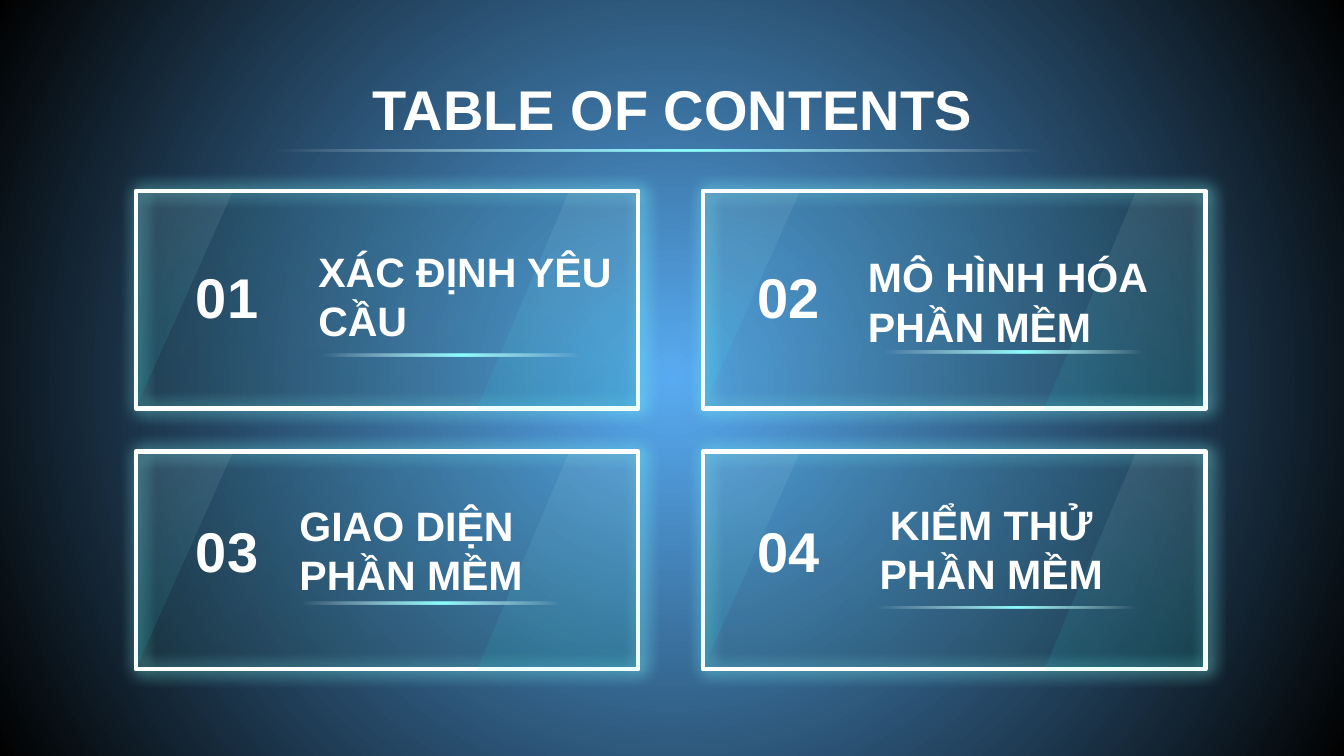
from lxml import etree
from pptx import Presentation
from pptx.dml.color import RGBColor
from pptx.enum.shapes import MSO_SHAPE
from pptx.enum.text import MSO_ANCHOR, PP_ALIGN
from pptx.oxml.ns import qn
from pptx.util import Inches, Pt

LEFT, CENTER = PP_ALIGN.LEFT, PP_ALIGN.CENTER
MIDDLE = MSO_ANCHOR.MIDDLE
RECT = MSO_SHAPE.RECTANGLE

TITLE = "TABLE OF CONTENTS"
# number, heading, heading left and top, alignment, rule left and top
ITEMS = [
    ("01", "XÁC ĐỊNH YÊU CẦU", (2.27, 1.91), LEFT, (2.21, 2.63)),
    ("02", "MÔ HÌNH HÓA PHẦN MỀM", (6.36, 1.95), LEFT, (6.39, 2.61)),
    ("03", "GIAO DIỆN PHẦN MỀM", (2.13, 3.8), LEFT, (2.06, 4.48)),
    ("04", "KIỂM THỬ PHẦN MỀM", (6.12, 3.79), CENTER, (6.34, 4.51)),
]
COLS, ROWS = (1.01, 5.23), (1.42, 3.36)
NUM_X, NUM_Y = (1.23, 5.41), (1.91, 3.8)
WIDE, HIGH = 3.74, 1.62

# Gradient stops: position, colour, opacity in percent
BACK = [(0, "58ABF1", 100), (100, "010101", 100)]
PANEL = [(0, "0A3250", 8), (100, "010101", 8)]
SHINE = [(0, "00FFFF", 8), (100, "FFFFFF", 8)]
RULE = [(0, "FFFFFF", 0), (11, "FFFFFF", 0), (48, "8CFFFF", 100),
        (92, "FFFFFF", 0), (100, "FFFFFF", 0)]


def add(parent, tag, **attrs):
    return etree.SubElement(parent, qn(tag),
                            {k: str(v) for k, v in attrs.items()})


def add_color(parent, color, alpha):
    node = add(parent, "a:srgbClr", val=color)
    if alpha < 100:
        add(node, "a:alpha", val=alpha * 1000)


def set_grad(fill, props, stops, angle=None):
    """Fill with a linear gradient, or a centred circular one without angle."""
    fill.background()
    grad = etree.Element(qn("a:gradFill"), rotWithShape="1")
    group = add(grad, "a:gsLst")
    for pos, color, alpha in stops:
        add_color(add(group, "a:gs", pos=pos * 1000), color, alpha)
    if angle is None:
        ring = add(grad, "a:path", path="circle")
        add(ring, "a:fillToRect", l=50000, t=50000, r=50000, b=50000)
    else:
        add(grad, "a:lin", ang=angle * 60000, scaled=0)
    props.replace(props.find(qn("a:noFill")), grad)


def style(shape, stops, angle):
    shape.shadow.inherit = False
    shape.line.fill.background()
    set_grad(shape.fill, shape._element.spPr, stops, angle)


def add_poly(slide, x, y, points, stops, angle):
    spots = [(Inches(x + dx), Inches(y + dy)) for dx, dy in points]
    form = slide.shapes.build_freeform(*spots[0])
    form.add_line_segments(spots[1:], close=True)
    shape = form.convert_to_shape()
    style(shape, stops, angle)
    return shape


def add_panel(slide, x, y):
    frame = add_poly(slide, x, y,
                     [(0, 0), (WIDE, 0), (WIDE, HIGH), (0, HIGH)], PANEL, 90)
    frame.line.color.rgb = RGBColor.from_string("FFFFFF")
    frame.line.width = Pt(2.25)
    effects = frame._element.spPr.find(qn("a:effectLst"))
    glow = add(effects, "a:outerShdw", blurRad=Pt(9), dist=Pt(1.5), dir=0,
               algn="ctr", rotWithShape=0)
    add_color(glow, "7EFFFF", 100)
    add_poly(slide, x, y, [(0, 0), (0, 1.61), (0.72, 0)], SHINE, 270)
    add_poly(slide, x, y,
             [(3.23, 0), (2.54, 1.63), (WIDE, 1.63), (WIDE, 0)], SHINE, 270)


def add_rule(slide, x, y, width):
    rule = slide.shapes.add_shape(RECT, Inches(x), Inches(y),
                                  Inches(width), Inches(0.02))
    style(rule, RULE, 180)


def add_text(slide, text, x, y, width, height, size, align=CENTER):
    frame = slide.shapes.add_textbox(Inches(x), Inches(y), Inches(width),
                                     Inches(height)).text_frame
    frame.word_wrap = True
    frame.vertical_anchor = MIDDLE
    frame.margin_left = frame.margin_right = Inches(0.1)
    frame.margin_top = frame.margin_bottom = Inches(0.1)
    para = frame.paragraphs[0]
    para.text = text
    para.alignment = align
    font = para.font
    font.name, font.size, font.bold = "Arial", Pt(size), True
    font.color.rgb = RGBColor.from_string("FFFFFF")


def main():
    deck = Presentation()
    deck.slide_width = Inches(10)
    deck.slide_height = deck.slide_width * 9 // 16
    slide = deck.slides.add_slide(deck.slide_layouts[6])
    fill = slide.background.fill
    fill.background()
    set_grad(fill, slide._element.find(".//" + qn("p:bgPr")), BACK)

    for y in ROWS:
        for x in COLS:
            add_panel(slide, x, y)
    add_text(slide, TITLE, 0.79, 0.49, 8.43, 0.63, 30)
    add_rule(slide, 1.48, 1.11, 7.04)
    for i, (num, head, spot, align, rule) in enumerate(ITEMS):
        row, col = divmod(i, 2)
        add_text(slide, num, NUM_X[col], NUM_Y[row], 0.92, 0.58, 30)
        add_text(slide, head, *spot, 2.51, 0.58, 22, align)
        add_rule(slide, *rule, 2.37)
    deck.save("out.pptx")


if __name__ == "__main__":
    main()
